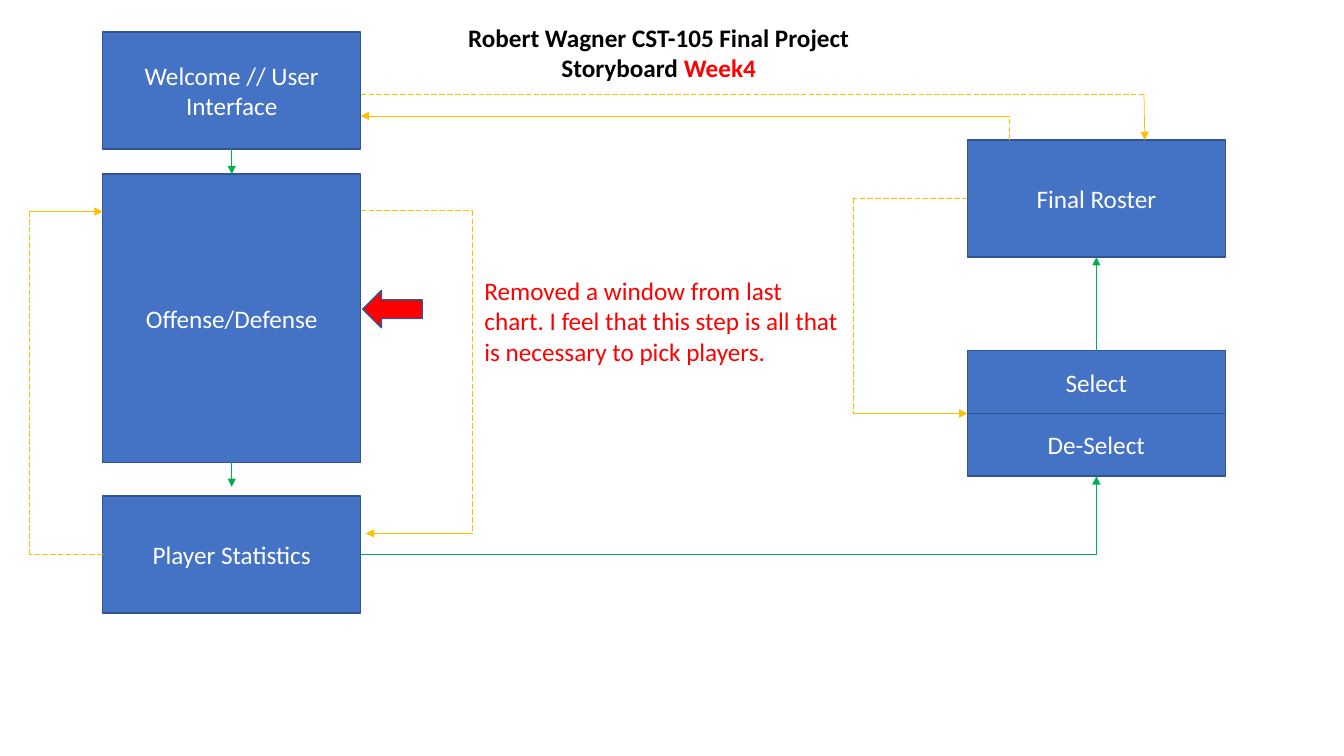
from dataclasses import dataclass
from itertools import pairwise

from lxml import etree
from pptx import Presentation
from pptx import util as u
from pptx.dml.color import RGBColor
from pptx.enum import dml, shapes, text
from pptx.oxml import ns


@dataclass(frozen=True)
class Theme:
    font: str = "Calibri"
    size: int = 18
    box: str = "4472C4"
    outline: str = "325491"
    light: str = "FFFFFF"
    dark: str = "000000"
    accent: str = "FF0000"
    forward: str = "00B050"
    back: str = "FFC000"
    box_line: float = 1
    route_line: float = 0.5


class Storyboard:
    def __init__(self, slide, theme):
        self.slide = slide
        self.theme = theme

    def format_text(self, frame, colors, align, anchor, bold=False):
        frame.word_wrap = True
        frame.auto_size = text.MSO_AUTO_SIZE.NONE
        frame.vertical_anchor = anchor
        frame.margin_left = frame.margin_right = u.Cm(0.25)
        frame.margin_top = frame.margin_bottom = u.Cm(0.13)
        paragraph = frame.paragraphs[0]
        paragraph.alignment = align
        paragraph.line_spacing = 1
        paragraph.space_before = u.Pt(0)
        for run, color in zip(paragraph.runs, colors):
            run.font.name = self.theme.font
            run.font.size = u.Pt(self.theme.size)
            run.font.bold = bold
            run.font.color.rgb = RGBColor.from_string(color)

    def title(self, wording, highlight, *bounds):
        shape = self.slide.shapes.title
        shape.left, shape.top, shape.width, shape.height = map(u.Cm, bounds)
        shape.text_frame.text = wording
        shape.text_frame.paragraphs[0].add_run().text = highlight
        self.format_text(shape.text_frame, (self.theme.dark, self.theme.accent),
                         text.PP_ALIGN.CENTER, text.MSO_ANCHOR.TOP, True)

    def note(self, wording, *bounds):
        shape = self.slide.shapes.add_textbox(*map(u.Cm, bounds))
        shape.text_frame.text = wording
        self.format_text(shape.text_frame, (self.theme.accent,),
                         text.PP_ALIGN.LEFT, text.MSO_ANCHOR.TOP)

    def preset(self, kind, fill, *bounds):
        shape = self.slide.shapes.add_shape(kind, *map(u.Cm, bounds))
        shape.shadow.inherit = False
        shape.fill.solid()
        shape.fill.fore_color.rgb = RGBColor.from_string(fill)
        shape.line.color.rgb = RGBColor.from_string(self.theme.outline)
        shape.line.width = u.Pt(self.theme.box_line)
        return shape

    def box(self, wording, *bounds):
        shape = self.preset(shapes.MSO_SHAPE.RECTANGLE, self.theme.box, *bounds)
        shape.text_frame.text = wording
        self.format_text(shape.text_frame, (self.theme.light,),
                         text.PP_ALIGN.CENTER, text.MSO_ANCHOR.MIDDLE)

    def pointer(self, *bounds):
        shape = self.preset(shapes.MSO_SHAPE.RIGHT_ARROW, self.theme.accent, *bounds)
        shape.rotation = 180

    def route(self, color, points, dashed=False):
        segments = list(pairwise(points))
        for index, (start, end) in enumerate(segments, 1):
            connector = self.slide.shapes.add_connector(
                shapes.MSO_CONNECTOR.STRAIGHT, *map(u.Cm, start + end))
            connector.line.color.rgb = RGBColor.from_string(color)
            connector.line.width = u.Pt(self.theme.route_line)
            properties = connector._element.spPr
            if index == len(segments):
                etree.SubElement(properties.find(ns.qn("a:ln")),
                                 ns.qn("a:tailEnd"), type="triangle")
            elif dashed:
                connector.line.dash_style = dml.MSO_LINE.LONG_DASH
            etree.SubElement(properties, ns.qn("a:effectLst"))


presentation = Presentation()
presentation.slide_width = u.Cm(33.87)
presentation.slide_height = u.Cm(19.05)
theme = Theme()
slide = presentation.slides.add_slide(presentation.slide_layouts[5])
board = Storyboard(slide, theme)

LEFT, RIGHT, WIDTH, HEIGHT, HALF = 2.59, 24.38, 6.5, 2.95, 1.58
LEFT_EDGE = LEFT + WIDTH
LEFT_MIDDLE, RIGHT_MIDDLE = LEFT + WIDTH / 2, RIGHT + WIDTH / 2
WELCOME, OFFENSE, STATISTICS, ROSTER, SELECT = 0.81, 4.39, 12.5, 3.53, 8.84
OFFENSE_HEIGHT = 7.26
DESELECT = SELECT + HALF
STATISTICS_MIDDLE, ROSTER_MIDDLE = STATISTICS + HEIGHT / 2, ROSTER + HEIGHT / 2

board.title("Robert Wagner CST-105 Final Project Storyboard ", "Week4",
            10.87, 0.43, 11.46, 1.8)

for wording, left, top, height in (
    ("Welcome // User Interface", LEFT, WELCOME, HEIGHT),
    ("Offense/Defense", LEFT, OFFENSE, OFFENSE_HEIGHT),
    ("Player Statistics", LEFT, STATISTICS, HEIGHT),
    ("Final Roster", RIGHT, ROSTER, HEIGHT),
    ("Select", RIGHT, SELECT, HALF),
    ("De-Select", RIGHT, DESELECT, HALF),
):
    board.box(wording, left, top, WIDTH, height)

for points in (
    [(LEFT_MIDDLE, WELCOME + HEIGHT), (LEFT_MIDDLE, OFFENSE)],
    [(LEFT_MIDDLE, OFFENSE + OFFENSE_HEIGHT), (LEFT_MIDDLE, 12.27)],
    [(LEFT_EDGE, STATISTICS_MIDDLE), (RIGHT_MIDDLE, STATISTICS_MIDDLE),
     (RIGHT_MIDDLE, DESELECT + HALF)],
    [(RIGHT_MIDDLE, SELECT), (RIGHT_MIDDLE, ROSTER + HEIGHT)],
):
    board.route(theme.forward, points)

for points in (
    [(LEFT_EDGE, 5.31), (11.91, 5.31), (11.91, 13.44), (9.22, 13.44)],
    [(LEFT, STATISTICS_MIDDLE), (0.74, STATISTICS_MIDDLE), (0.74, 5.33), (LEFT, 5.33)],
    [(RIGHT, ROSTER_MIDDLE), (21.5, ROSTER_MIDDLE), (21.5, DESELECT), (RIGHT, DESELECT)],
    [(25.43, ROSTER), (25.43, 2.92), (LEFT_EDGE, 2.92)],
    [(LEFT_EDGE, 2.38), (28.83, 2.38), (28.85, ROSTER)],
):
    board.route(theme.back, points, dashed=True)

board.note("Removed a window from last chart. I feel that this step is all that "
           "is necessary to pick players.", 11.96, 6.81, 9.55, 2.57)
board.pointer(9.14, 7.32, 1.5, 0.94)

presentation.save("out.pptx")
